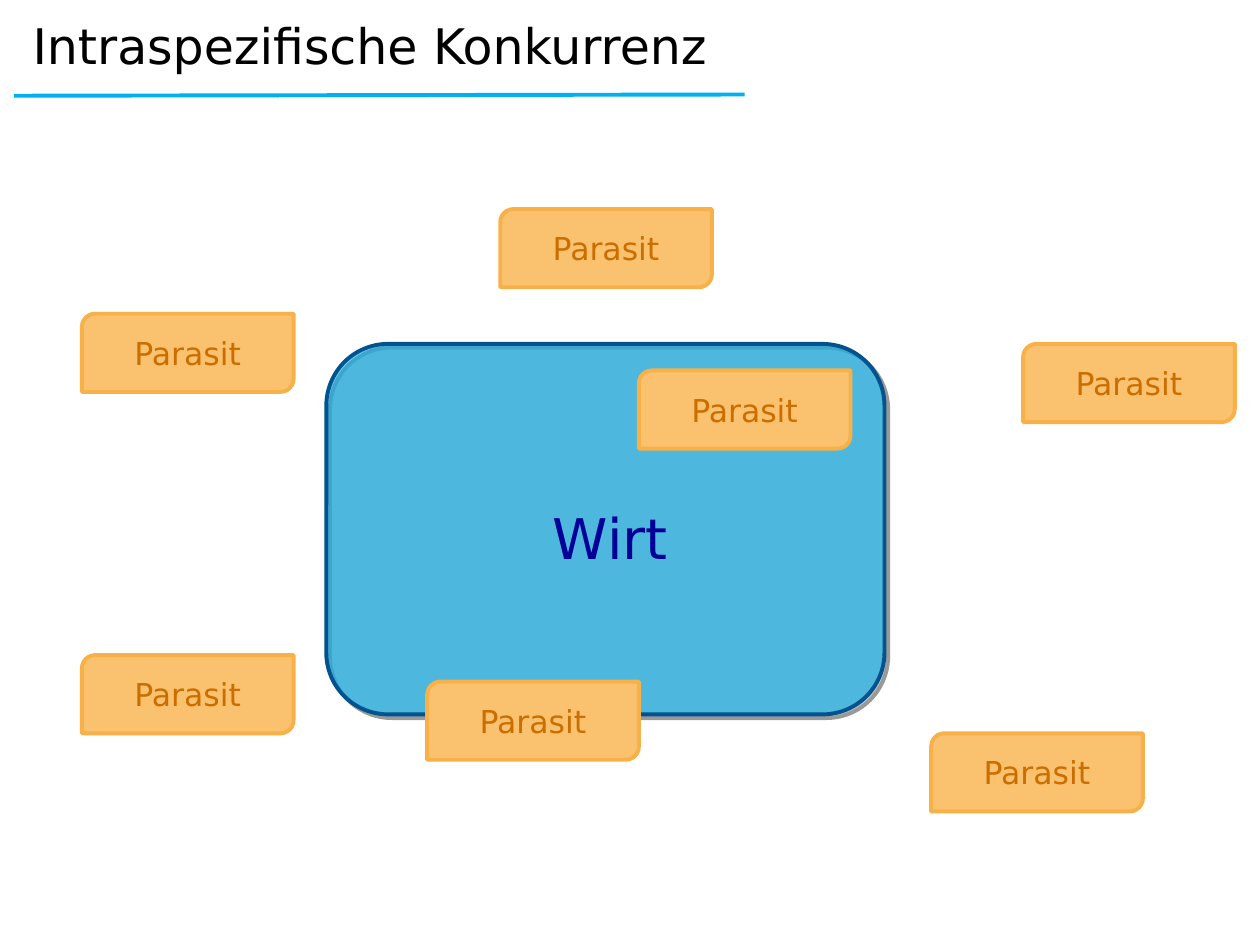
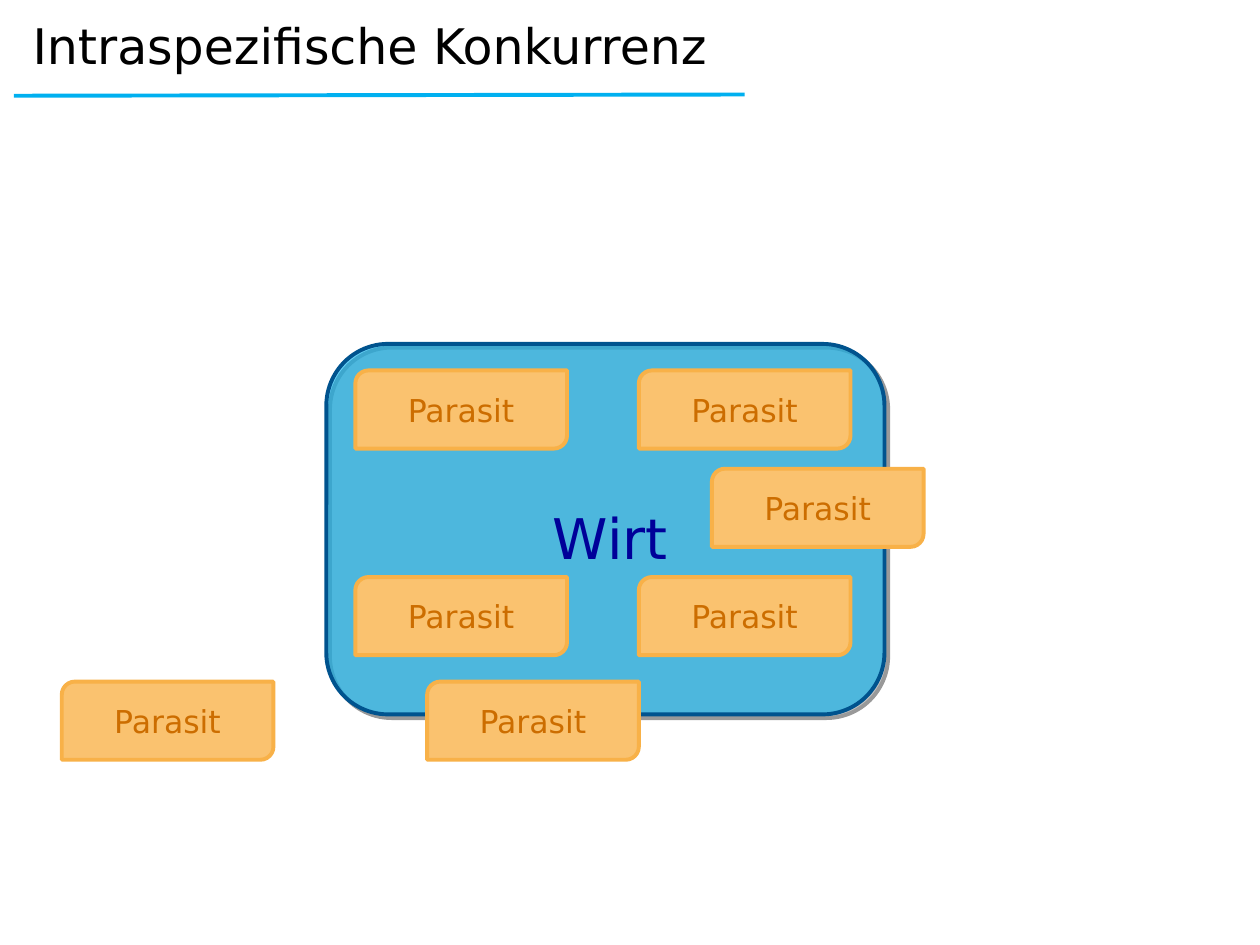
import lxml.etree
import pptx
import pptx.dml.color
import pptx.enum.shapes
import pptx.enum.text
import pptx.oxml
import pptx.oxml.ns
import pptx.util

Inches = pptx.util.Inches
SHAPES = pptx.enum.shapes.MSO_SHAPE
TITLE = "Intraspezifische Konkurrenz"
FONT = "DejaVu Sans"
LINE_WIDTH = pptx.util.Pt(2.25)
COLORS = {
    "title": "000000", "accent": "00B0F0", "host_line": "00538E",
    "host_text": "000099", "parasite": "FAC26F", "parasite_line": "F8B148",
    "parasite_text": "CC6D00", "shadow": "000000",
}
HOST_BOX = (2.59, 2.73, 4.43, 2.94)
TITLE_BOX = (0.16, 0.07, 8.71, 0.52)
PARASITE_SIZE = (1.68, 0.62)
COLUMNS = (2.82, 5.07)
ROWS = (2.94, 4.58)
EDGE_PARASITE = (3.39, 5.41)
SCATTERED = [(0.65, 5.2), (7.39, 5.82), (3.97, 1.66), (8.12, 2.73),
             (COLUMNS[1], ROWS[0]), (0.65, 2.49), EDGE_PARASITE]
CROWDED = [(0.49, 5.41), (5.65, 3.72), EDGE_PARASITE]
CROWDED += [(column, row) for row in ROWS for column in COLUMNS]


def rgb(name):
    """Return the named colour."""
    return pptx.dml.color.RGBColor.from_string(COLORS[name])


def write_text(shape, text, size, color, **frame_format):
    """Write one line of text with the given frame format."""
    frame = shape.text_frame
    for name, value in frame_format.items():
        setattr(frame, name, value)
    run = frame.paragraphs[0].add_run()
    run.text = text
    for name, value in {"name": FONT, "size": pptx.util.Pt(size)}.items():
        setattr(run.font, name, value)
    run.font.color.rgb = rgb(color)


def add_panel(slide, kind, box, fill, line):
    """Add a filled and outlined shape without a shadow."""
    shape = slide.shapes.add_shape(kind, *map(Inches, box))
    shape.shadow.inherit = False
    shape.fill.solid()
    shape.fill.fore_color.rgb = rgb(fill)
    shape.line.color.rgb = rgb(line)
    shape.line.width = LINE_WIDTH
    return shape


def set_alpha(color_element, percent):
    """Set the opacity of a colour element."""
    alpha = lxml.etree.SubElement(color_element, pptx.oxml.ns.qn("a:alpha"))
    alpha.set("val", str(percent * 1000))


def add_host(slide, box):
    """Add the translucent host with its hard shadow."""
    host = add_panel(slide, SHAPES.ROUNDED_RECTANGLE, box, "accent", "host_line")
    properties = host._element.spPr
    set_alpha(properties.find(pptx.oxml.ns.qn("a:solidFill"))[0], 60)
    shadow = pptx.oxml.parse_xml(
        f'<a:outerShdw {pptx.oxml.ns.nsdecls("a")} blurRad="0" dist="{pptx.util.Pt(3)}" '
        f'dir="{45 * 60000}" algn="tl" rotWithShape="0">'
        f'<a:srgbClr val="{COLORS["shadow"]}"/></a:outerShdw>')
    set_alpha(shadow[0], 40)
    properties.find(pptx.oxml.ns.qn("a:effectLst")).append(shadow)


def add_host_label(slide, box):
    """Add the host name near the middle of the host box."""
    left, top = box[:2]
    label = slide.shapes.add_textbox(*map(Inches, (left + 1.7, top + 1.22, 1.13, 0.63)))
    write_text(label, "Wirt", 32, "host_text", word_wrap=False)


def add_parasite(slide, position):
    """Add one parasite with its top left corner at the position."""
    parasite = add_panel(slide, SHAPES.ROUND_2_DIAG_RECTANGLE, position + PARASITE_SIZE,
                         "parasite", "parasite_line")
    write_text(parasite, "Parasit", 18, "parasite_text",
               vertical_anchor=pptx.enum.text.MSO_ANCHOR.MIDDLE)
    parasite.text_frame.paragraphs[0].alignment = pptx.enum.text.PP_ALIGN.CENTER


def add_title(slide, box):
    """Add the title and the slightly rising line below it."""
    left, top = box[:2]
    title = slide.shapes.add_textbox(*map(Inches, box))
    write_text(title, TITLE, 28, "title", word_wrap=True)
    ends = (left - 0.05, top + 0.69, left + 5.75, top + 0.68)
    rule = slide.shapes.add_connector(
        pptx.enum.shapes.MSO_CONNECTOR.STRAIGHT, *map(Inches, ends))
    rule.line.color.rgb = rgb("accent")
    rule.line.width = LINE_WIDTH
    lxml.etree.SubElement(rule._element.spPr, pptx.oxml.ns.qn("a:effectLst"))


def add_competition_slide(presentation, parasites):
    """Add a slide with one host and its competing parasites."""
    slide = presentation.slides.add_slide(presentation.slide_layouts[6])
    add_host(slide, HOST_BOX)
    for position in parasites:
        add_parasite(slide, position)
    add_title(slide, TITLE_BOX)
    add_host_label(slide, HOST_BOX)


def main():
    """Build and save the presentation."""
    presentation = pptx.Presentation()
    presentation.slide_width = Inches(10)
    presentation.slide_height = Inches(7.5)
    for parasites in (SCATTERED, CROWDED):
        add_competition_slide(presentation, parasites)
    presentation.save("out.pptx")


if __name__ == "__main__":
    main()
